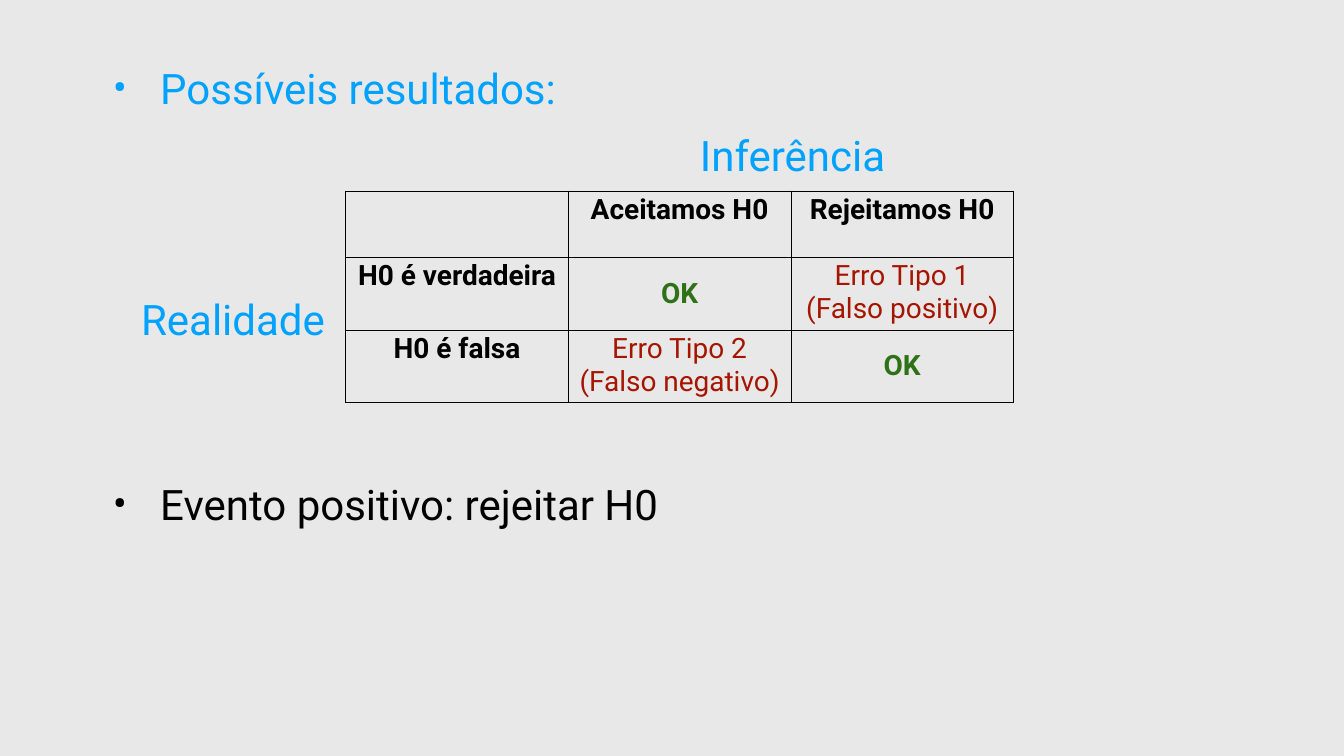
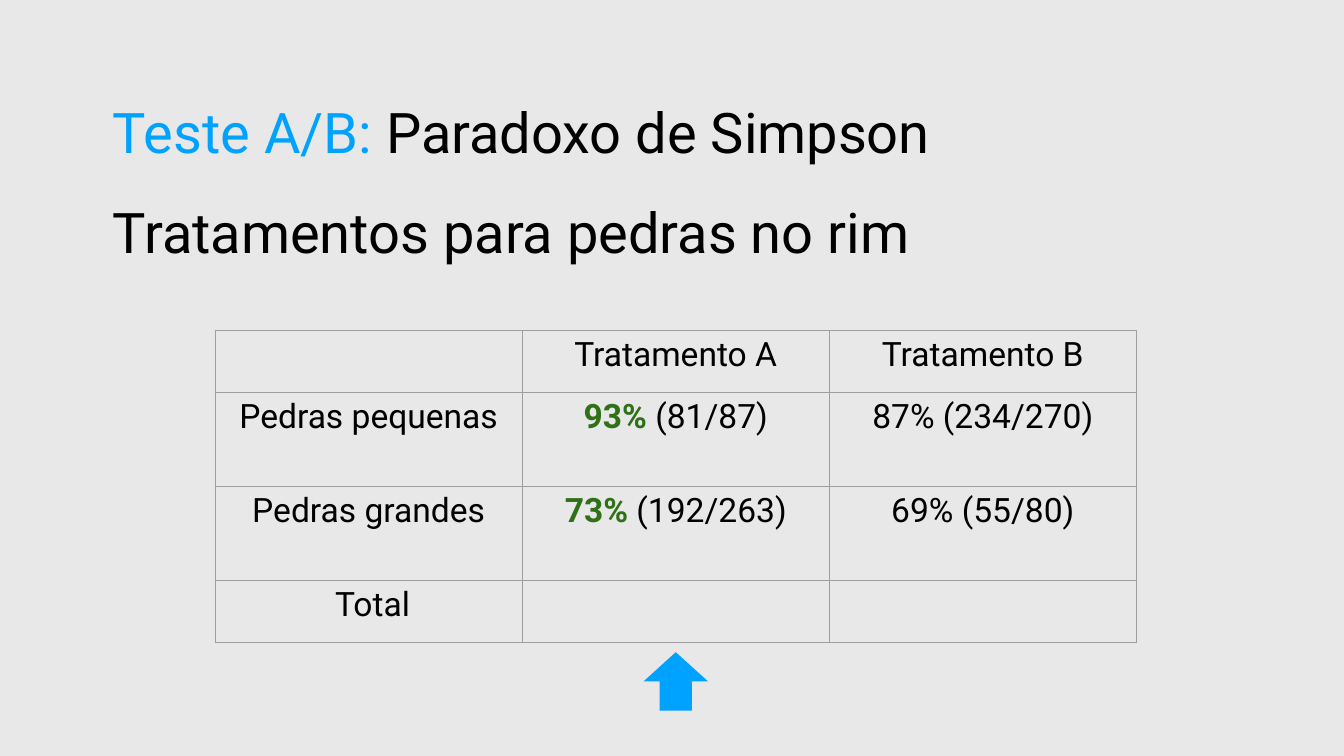
from lxml.etree import SubElement
from pptx import Presentation
from pptx.dml.color import RGBColor
from pptx.enum.shapes import MSO_SHAPE as Preset
from pptx.enum.text import MSO_ANCHOR as Anchor, MSO_AUTO_SIZE as AutoSize, PP_ALIGN as Align
from pptx.oxml.ns import qn
from pptx.util import Emu, Pt

# Scale and shared look
PX = 9144  # 100 px to the inch
WIDTH, HEIGHT = 2667, 1500
BACKDROP = (-5, -4, 2744, 1526)
FONT = "Roboto"
BOX_INSET, BULLET_INDENT = 6, 94
COLORS = {"background": "E8E8E8", "accent": "00A2FF", "text": "000000",
          "good": "2E7116", "error": "A61500", "grid": "9E9E9E"}
# Run styles: color, bold
STYLES = {"plain": ("text", False), "strong": ("text", True), "accent": ("accent", False),
          "good": ("good", True), "error": ("error", False)}

# Content: a text is a list of paragraphs, a paragraph a list of (words, style)
OK = [[("OK", "good")]]


def line(words, style="plain"):
    return [[(words, style)]]


def error(kind, meaning):
    return line(kind, "error") + line(meaning, "error")


def rate(share, counts):
    return [[(share, "good"), (f" {counts}", "plain")]]


RESULTS = {
    "texts": [
        # left, top, width, height, size, bullet, text
        (218, 118, 2116, 112, 60, True, line("Possíveis resultados:", "accent")),
        (274, 577, 396, 112, 60, False, line("Realidade", "accent")),
        (1383, 251, 396, 112, 60, False, line("Inferência", "accent")),
        (218, 944, 2116, 112, 60, True, line("Evento positivo: rejeitar H0")),
    ],
    "table": {
        "left": 686, "top": 379, "width": 1325, "rows": [131, 145, 144],
        "size": 40, "border": ("text", 1), "inset": None,
        "cells": [
            [None, line("Aceitamos H0", "strong"), line("Rejeitamos H0", "strong")],
            [line("H0 é verdadeira", "strong"), OK, error("Erro Tipo 1", "(Falso positivo)")],
            [line("H0 é falsa", "strong"), error("Erro Tipo 2", "(Falso negativo)"), OK],
        ],
    },
}
SIMPSON = {
    "texts": [
        (218, 188, 1762, 146, 80, False,
         [[("Teste A/B: ", "accent"), ("Paradoxo de Simpson", "plain")]]),
        (218, 386, 1762, 146, 80, False, line("Tratamentos para pedras no rim")),
    ],
    "table": {
        "left": 427, "top": 655, "width": 1828, "rows": [123, 187, 187, 123],
        "size": 48, "border": ("grid", 0.75), "inset": 10,
        "cells": [
            [None, line("Tratamento A"), line("Tratamento B")],
            [line("Pedras pequenas"), rate("93%", "(81/87)"), line("87% (234/270)")],
            [line("Pedras grandes"), rate("73%", "(192/263)"), line("69% (55/80)")],
            [line(" Total"), None, None],
        ],
    },
    "arrow": {"gap": 19, "width": 128, "height": 116},
}


def px(*lengths):
    return [Emu(length * PX) for length in lengths]


def color(name):
    return RGBColor.from_string(COLORS[name])


def set_all(target, values):
    for name, value in values.items():
        setattr(target, name, value)


def margins(inset):
    return {f"margin_{side}": Emu(inset * PX) for side in ("left", "right", "top", "bottom")}


def add_shape(slide, preset, box, fill):
    shape = slide.shapes.add_shape(preset, *px(*box))
    shape.shadow.inherit = False
    shape.fill.solid()
    shape.fill.fore_color.rgb = color(fill)
    shape.line.fill.background()
    return shape


def write(frame, text, size, align):
    for index, runs in enumerate(text):
        paragraph = frame.add_paragraph() if index else frame.paragraphs[0]
        paragraph.alignment = align
        for words, style in runs:
            color_name, bold = STYLES[style]
            run = paragraph.add_run()
            run.text = words
            set_all(run.font, {"name": FONT, "size": Pt(size), "bold": bold})
            run.font.color.rgb = color(color_name)


def add_bullet(paragraph):
    properties = paragraph._p.get_or_add_pPr()
    properties.set("marL", str(BULLET_INDENT * PX))
    properties.set("indent", str(-BULLET_INDENT * PX))
    SubElement(properties, qn("a:buFont")).set("typeface", FONT)
    SubElement(properties, qn("a:buChar")).set("char", "•")


def add_text(slide, left, top, width, height, size, bullet, text):
    frame = slide.shapes.add_textbox(*px(left, top, width, height)).text_frame
    set_all(frame, {"word_wrap": True, "auto_size": AutoSize.SHAPE_TO_FIT_TEXT,
                    **margins(BOX_INSET)})
    write(frame, text, size, Align.LEFT)
    if bullet:
        add_bullet(frame.paragraphs[0])


def add_borders(cell, color_name, points):
    properties = cell._tc.get_or_add_tcPr()
    for edge in ("lnL", "lnR", "lnT", "lnB"):
        border = SubElement(properties, qn(f"a:{edge}"), w=str(Pt(points)))
        fill = SubElement(border, qn("a:solidFill"))
        SubElement(fill, qn("a:srgbClr"), val=COLORS[color_name])


def add_table(slide, data):
    cells, rows, width = data["cells"], data["rows"], data["width"]
    columns = len(cells[0])
    table = slide.shapes.add_table(
        len(rows), columns, *px(data["left"], data["top"], width, sum(rows))).table
    set_all(table, {"first_row": False, "horz_banding": False})
    for table_column in table.columns:
        table_column.width = Emu(width * PX // columns)
    for row_index, height in enumerate(rows):
        table.rows[row_index].height = Emu(height * PX)
        for column_index, text in enumerate(cells[row_index]):
            cell = table.cell(row_index, column_index)
            add_borders(cell, *data["border"])
            cell.fill.background()
            if data["inset"]:
                set_all(cell, margins(data["inset"]))
            cell.vertical_anchor = Anchor.MIDDLE if text is OK else Anchor.TOP
            write(cell.text_frame, text or [], data["size"], Align.CENTER)


def add_arrow(slide, arrow, table):
    # Centred under the table
    left = table["left"] + (table["width"] - arrow["width"]) // 2
    top = table["top"] + sum(table["rows"]) + arrow["gap"]
    add_shape(slide, Preset.UP_ARROW, (left, top, arrow["width"], arrow["height"]), "accent")


def add_backdrop(master, slide):
    # Built on a slide, then moved behind everything on the master
    backdrop = add_shape(slide, Preset.RECTANGLE, BACKDROP, "background")
    master.shapes._spTree.insert(2, backdrop._element)


def main():
    presentation = Presentation()
    presentation.slide_width, presentation.slide_height = px(WIDTH, HEIGHT)
    for index, content in enumerate((RESULTS, SIMPSON)):
        slide = presentation.slides.add_slide(presentation.slide_layouts[6])
        if index == 0:
            add_backdrop(presentation.slide_master, slide)
        for text in content["texts"]:
            add_text(slide, *text)
        add_table(slide, content["table"])
        if "arrow" in content:
            add_arrow(slide, content["arrow"], content["table"])
    presentation.save("out.pptx")


if __name__ == "__main__":
    main()
